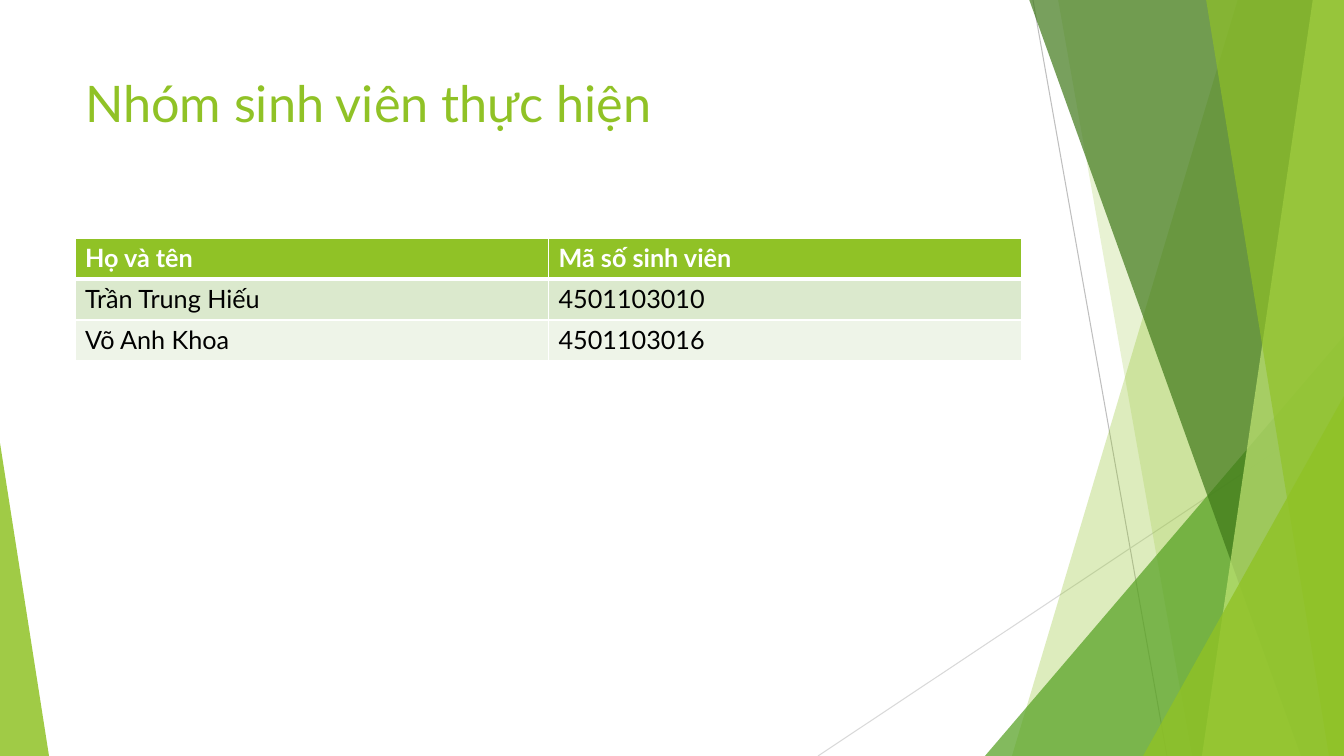
"""Build the student group slide: green facets, a title and a table of names."""
from lxml.etree import SubElement
from pptx import Presentation
from pptx.dml.color import RGBColor
from pptx.enum.shapes import MSO_CONNECTOR, MSO_SHAPE
from pptx.enum.text import MSO_ANCHOR, MSO_AUTO_SIZE, PP_ALIGN
from pptx.oxml import parse_xml
from pptx.oxml.ns import nsdecls, qn
from pptx.util import Pt

WIDTH, HEIGHT = 1344, 756
PX = 12192000 / WIDTH
FONT = "Lato"
GREEN = RGBColor(0x90, 0xC2, 0x26)
MID_GREEN = RGBColor(0x54, 0xA0, 0x21)
DARK_GREEN = RGBColor(0x3F, 0x78, 0x19)
LIGHT_GREEN = RGBColor(0xC0, 0xE4, 0x74)
BAND = RGBColor(0xDB, 0xE9, 0xCD)
PALE_BAND = RGBColor(0xEE, 0xF4, 0xE8)
GREY = RGBColor(0xBF, 0xBF, 0xBF)
PALE_GREY = RGBColor(0xD9, 0xD9, 0xD9)
WHITE = RGBColor(0xFF, 0xFF, 0xFF)
BLACK = RGBColor(0, 0, 0)


def emu(*lengths):
    return [round(length * PX) for length in lengths]


def paint(shape, color, opacity):
    shape.shadow.inherit = False
    shape.fill.solid()
    shape.fill.fore_color.rgb = color
    shape.line.fill.background()
    srgb = shape.fill._xPr.find(qn("a:solidFill"))[0]
    SubElement(srgb, qn("a:alpha"), val=str(opacity * 1000))


deck = Presentation()
deck.slide_width, deck.slide_height = emu(WIDTH, HEIGHT)
page = deck.slides.add_slide(deck.slide_layouts[5])

for ends, color in [((1033, 0, 1167, HEIGHT), GREY), ((WIDTH, 406, 818, HEIGHT), PALE_GREY)]:
    line = page.shapes.add_connector(MSO_CONNECTOR.STRAIGHT, *emu(*ends))
    line.line.color.rgb = color
    line.line.width = Pt(0.75)
    SubElement(line.element.spPr, qn("a:effectLst"))

facets = [
    ("band", 1238, 1012, GREEN, 30),
    ("band", 1058, 1192, GREEN, 20),
    ("triangle", (985, 336, 359, 420), 1, MID_GREEN, 72),
    ("band", 1029, 1301, DARK_GREEN, 70),
    ("band", 1313, 1202, LIGHT_GREEN, 70),
    ("band", 1206, 1329, GREEN, 65),
    ("triangle", (1143, 396, 201, 360), 1, GREEN, 80),
    ("triangle", (0, 443, 49, 313), 0, GREEN, 85),
]
for kind, first, second, color, opacity in facets:
    if kind == "band":
        outline = page.shapes.build_freeform(first, -1, scale=PX)
        outline.add_line_segments([(WIDTH, -1), (WIDTH, HEIGHT), (second, HEIGHT)], close=True)
        facet = outline.convert_to_shape()
    else:
        facet = page.shapes.add_shape(MSO_SHAPE.ISOSCELES_TRIANGLE, *emu(*first))
        facet.adjustments[0] = second
    paint(facet, color, opacity)

title = page.shapes.title
title.element.getparent().append(title.element)
title.left, title.top, title.width, title.height = emu(75, 67, 947, 145)
frame = title.text_frame
frame.text = "Nhóm sinh viên thực hiện"
for name, value in {"vertical_anchor": MSO_ANCHOR.TOP, "word_wrap": True,
                    "auto_size": MSO_AUTO_SIZE.NONE}.items():
    setattr(frame, name, value)
frame.paragraphs[0].alignment = PP_ALIGN.LEFT
title_font = frame.paragraphs[0].runs[0].font
title_font.name, title_font.size = FONT, Pt(36)
title_font.color.rgb = GREEN

students = [
    ("Họ và tên", "Mã số sinh viên"),
    ("Trần Trung Hiếu", "4501103010"),
    ("Võ Anh Khoa", "4501103016"),
]
row_fills = [GREEN, BAND, PALE_BAND]
table = page.shapes.add_table(3, 2, *emu(75, 238, 947, 123)).table
table.horz_banding = False
for row_index, values in enumerate(students):
    header = row_index == 0
    for column_index, value in enumerate(values):
        cell = table.cell(row_index, column_index)
        cell.text = value
        cell.fill.solid()
        cell.fill.fore_color.rgb = row_fills[row_index]
        font = cell.text_frame.paragraphs[0].runs[0].font
        for name, setting in {"name": FONT, "size": Pt(18), "bold": header}.items():
            setattr(font, name, setting)
        font.color.rgb = WHITE if header else BLACK
        borders = {"lnL": 1, "lnR": 1, "lnT": 3 if row_index == 1 else 1, "lnB": 3 if header else 1}
        properties = cell._tc.get_or_add_tcPr()
        for order, (side, points) in enumerate(borders.items()):
            properties.insert(order, parse_xml(
                f'<a:{side} {nsdecls("a")} w="{Pt(points)}"><a:solidFill>'
                f'<a:srgbClr val="{WHITE}"/></a:solidFill></a:{side}>'))

deck.save("out.pptx")
